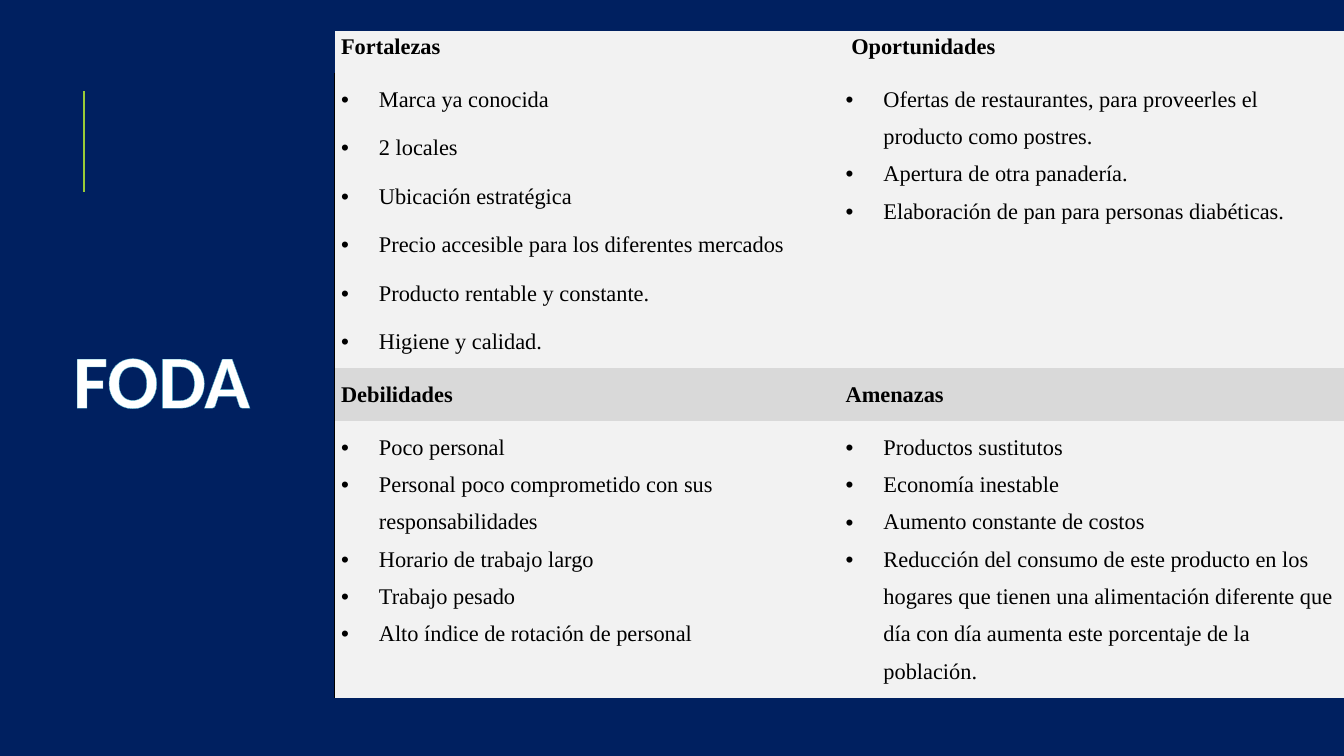
from pptx import Presentation
from pptx.dml.color import RGBColor
from pptx.enum.shapes import MSO_CONNECTOR
from pptx.enum.text import MSO_ANCHOR, MSO_AUTO_SIZE, PP_ALIGN
from pptx.oxml.ns import qn
from pptx.util import Pt
from lxml import etree

STRAIGHT = MSO_CONNECTOR.STRAIGHT
TOP, BOTTOM = MSO_ANCHOR.TOP, MSO_ANCHOR.BOTTOM
CENTER = PP_ALIGN.CENTER
NO_AUTOFIT = MSO_AUTO_SIZE.NONE

COLORS = {
    "navy": "002060",
    "green": "99CB38",
    "panel": "F2F2F2",
    "band": "D9D9D9",
    "black": "000000",
    "white": "FFFFFF",
    "outline": "4EB3CF",
}
TITLE_FONT = "Calibri"
TABLE_FONT = "Times New Roman"
PLAIN_TABLE_STYLE = "{2D5ABB26-0587-4C30-8999-92F81FD0307C}"
COLUMN_WIDTH = Pt(360.4)
ROW_HEIGHTS = (30, 211, 37, 198)
HANGING = Pt(27)
TAB_STOP = Pt(36)

STRENGTHS = (
    "Marca ya conocida",
    "2 locales",
    "Ubicación estratégica",
    "Precio accesible para los diferentes mercados",
    "Producto rentable y constante.",
    "Higiene y calidad.",
)
OPPORTUNITIES = (
    "Ofertas de restaurantes, para proveerles el producto como postres.",
    "Apertura de otra panadería.",
    "Elaboración de pan para personas diabéticas.",
)
WEAKNESSES = (
    "Poco personal",
    "Personal poco comprometido con sus responsabilidades",
    "Horario de trabajo largo",
    "Trabajo pesado",
    "Alto índice de rotación de personal",
)
THREATS = (
    "Productos sustitutos",
    "Economía inestable",
    "Aumento constante de costos",
    "Reducción del consumo de este producto en los hogares que tienen una "
    "alimentación diferente que día con día aumenta este porcentaje de la población.",
)


def rgb(name):
    return RGBColor.from_string(COLORS[name])


def add_outline(parent, tag, color, width):
    line = etree.Element(qn(tag), w=str(Pt(width)))
    fill = etree.SubElement(line, qn("a:solidFill"))
    etree.SubElement(fill, qn("a:srgbClr"), val=COLORS[color])
    parent.insert(0, line)


def add_accent(page):
    accent = page.shapes.add_connector(STRAIGHT, Pt(60), Pt(137), Pt(60), Pt(65))
    accent.line.color.rgb = rgb("green")
    accent.line.width = Pt(1.5)
    etree.SubElement(accent._element.spPr, qn("a:effectLst"))


def format_title(page):
    title = page.shapes.title
    title.left, title.top, title.width, title.height = Pt(41), Pt(234), Pt(149), Pt(73)
    frame = title.text_frame
    frame.text = "FODA"
    frame.word_wrap = False
    frame.auto_size = NO_AUTOFIT
    frame.vertical_anchor = TOP
    para = frame.paragraphs[0]
    para.alignment = CENTER
    span = para.runs[0]
    span.font.name = TITLE_FONT
    span.font.size = Pt(54)
    span.font.bold = True
    span.font.color.rgb = rgb("white")
    add_outline(span.font._element, "a:ln", "outline", 0.8)


def set_indent(para, margin, hanging=0):
    properties = para._p.get_or_add_pPr()
    properties.set("marL", str(margin))
    properties.set("indent", str(-hanging))
    return properties


def add_bullet(para):
    properties = set_indent(para, HANGING, HANGING)
    etree.SubElement(properties, qn("a:buFont"), typeface="Arial")
    etree.SubElement(properties, qn("a:buChar"), char="•")
    tabs = etree.SubElement(properties, qn("a:tabLst"))
    etree.SubElement(tabs, qn("a:tab"), pos=str(TAB_STOP), algn="l")


def format_para(para, spacing, after, bold):
    para.line_spacing = spacing
    para.space_after = Pt(after)
    for span in para.runs:
        span.font.name = TABLE_FONT
        span.font.size = Pt(16)
        span.font.bold = bold
        span.font.color.rgb = rgb("black")


def prepare_cell(cell, color):
    cell.margin_left = cell.margin_right = Pt(4.5)
    cell.margin_top, cell.margin_bottom = Pt(1.5), Pt(9.5)
    cell.fill.solid()
    cell.fill.fore_color.rgb = rgb(color)


def fill_heading(cell, text, color, spacing):
    prepare_cell(cell, color)
    cell.text_frame.text = text
    format_para(cell.text_frame.paragraphs[0], spacing, 8, True)


def fill_list(cell, items, between, last):
    prepare_cell(cell, "panel")
    cell.text_frame.text = "\n".join(items)
    paras = cell.text_frame.paragraphs
    for para in paras:
        add_bullet(para)
        format_para(para, 1.5, last if para is paras[-1] else between, False)


def add_foda_table(page):
    holder = page.shapes.add_table(
        4, 2, Pt(239.2), Pt(22), 2 * COLUMN_WIDTH, Pt(sum(ROW_HEIGHTS)))
    table = holder.table
    table.first_row = table.horz_banding = False
    for style in holder._element.iter(qn("a:tableStyleId")):
        style.text = PLAIN_TABLE_STYLE
    for column in table.columns:
        column.width = COLUMN_WIDTH
    for row, height in zip(table.rows, ROW_HEIGHTS):
        row.height = Pt(height)

    for column, text in enumerate(("Fortalezas", "Oportunidades")):
        cell = table.cell(0, column)
        fill_heading(cell, text, "panel", 1.07)
        cell.vertical_anchor = BOTTOM
    set_indent(table.cell(0, 1).text_frame.paragraphs[0], Pt(4))
    for column, text in enumerate(("Debilidades", "Amenazas")):
        fill_heading(table.cell(2, column), text, "band", 1.5)

    fill_list(table.cell(1, 0), STRENGTHS, 8, 8)
    fill_list(table.cell(1, 1), OPPORTUNITIES, 0, 8)
    fill_list(table.cell(3, 0), WEAKNESSES, 0, 0)
    fill_list(table.cell(3, 1), THREATS, 0, 8)

    for row in range(1, 4):
        add_outline(table.cell(row, 0)._tc.get_or_add_tcPr(), "a:lnL", "black", 1)


def main():
    deck = Presentation()
    deck.slide_width, deck.slide_height = Pt(960), Pt(540)
    page = deck.slides.add_slide(deck.slide_layouts[5])
    page.background.fill.solid()
    page.background.fill.fore_color.rgb = rgb("navy")
    add_accent(page)
    add_foda_table(page)
    format_title(page)
    deck.save("out.pptx")


if __name__ == "__main__":
    main()
